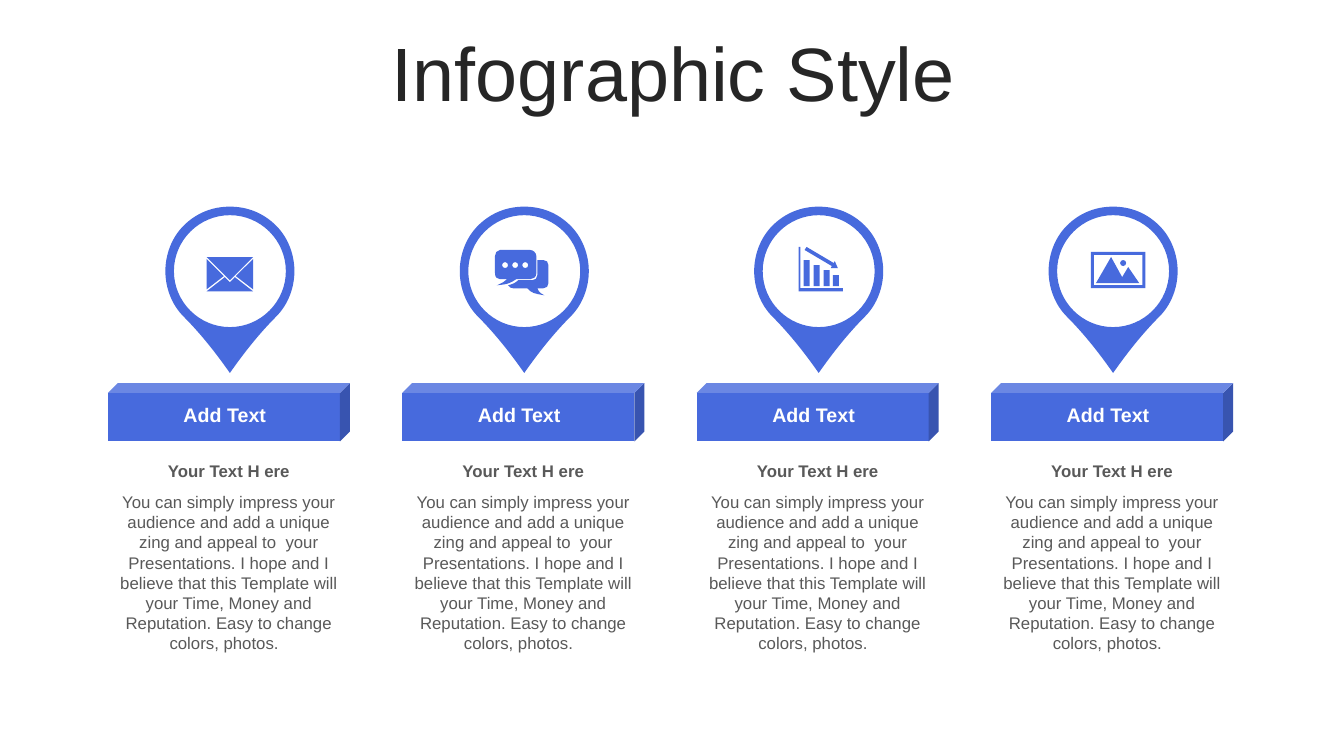
from dataclasses import dataclass

from lxml.etree import Element
from pptx import Presentation
from pptx.dml.color import RGBColor
from pptx.enum.shapes import MSO_SHAPE as Preset
from pptx.enum.text import MSO_ANCHOR as Anchor, PP_ALIGN as Align
from pptx.oxml.ns import qn
from pptx.util import Inches, Pt


@dataclass(frozen=True)
class Theme:
    font: str = "Arial"
    blue: str = "476ADD"
    white: str = "FFFFFF"
    heading: str = "262626"
    body: str = "595959"
    title_size: int = 54
    label_size: int = 14
    body_size: int = 12


THEME = Theme()
TITLE = "Infographic Style"
BODY = ("You can simply impress your audience and add a unique zing and appeal to  your "
        "Presentations. I hope and I believe that this Template will your Time, Money and "
        "Reputation. Easy to change colors, photos.  ")
COLUMNS = [(icon, "Add Text", "Your Text H ere", BODY)
           for icon in ("envelope", "chat", "chart", "photo")]

UNIT = Inches(0.01)
SLIDE = (1333, 750)
TITLE_AREA = (35, 37, 1266, 79)
FIRST_CENTER, COLUMN_PITCH = 228, 292
PIN_ROW = 269
BLOCK_AREA = (-121, 380, 240, 58)
LABEL_AREA = (-92, 395, 174, 34)
SUBHEAD_AREA = (-123, 452, 244, 30)
BODY_AREA = (-123, 483, 244, 172)


def rectangle(left, top, right, bottom):
    return [(left, top), (right, top), (right, bottom), (left, bottom)]


def disc(x, y, radius):
    k = radius * 0.55
    return [(x, y - radius),
            (x + k, y - radius, x + radius, y - k, x + radius, y),
            (x + radius, y + k, x + k, y + radius, x, y + radius),
            (x - k, y + radius, x - radius, y + k, x - radius, y),
            (x - radius, y - k, x - k, y - radius, x, y - radius)]


PIN = [
    disc(0, 0, 55.5),
    [(0, -64), (17, -64, 33, -58, 46, -45),
     (58, -33, 64, -16, 64, 0), (64, 16, 58, 33, 46, 45),
     (29, 62, 14, 81, 0, 101), (-14, 81, -29, 62, -46, 45),
     (-58, 33, -64, 16, -64, 0), (-64, -16, -58, -33, -46, -45),
     (-33, -58, -17, -64, 0, -64)],
]
ICONS = {
    "envelope": [
        [(5, 6), (23, 20), (-23, 20), (-5, 6), (0, 11)],
        [(23, -12), (23, 18), (6, 5)],
        [(-23, -12), (-6, 5), (-23, 18)],
        [(-23, -14), (23, -14), (0, 9)],
    ],
    "chat": [
        *[disc(x, -6, 3) for x in (-19, -9, 1)],
        [(13, -11), (19, -11), (22, -11, 24, -9, 24, -6), (24, 12),
         (24, 15, 22, 17, 19, 17), (13, 17), (14, 19, 14, 21, 20, 24),
         (9, 22, 8, 22, 3, 17), (-11, 17), (-13, 17, -15, 16, -16, 14),
         (-12, 13, -9, 12, -6, 9), (8, 9), (11, 9, 13, 7, 13, 4)],
        [(-24, -21), (6, -21), (9, -21, 12, -18, 12, -15), (12, 2),
         (12, 6, 9, 8, 6, 8), (-8, 8), (-14, 12, -16, 13, -27, 14),
         (-21, 11, -20, 11, -17, 8), (-24, 8), (-27, 8, -29, 6, -29, 2),
         (-29, -15), (-29, -18, -27, -21, -24, -21)],
    ],
    "chart": [
        *[rectangle(x, top, x + 6, 15)
          for x, top in ((-15, -11), (-5, -6), (5, -1), (14, 4))],
        [(-12, -24), (15, -8), (16, -10), (19, -3), (12, -3), (13, -5), (-14, -21)],
        [(-20, -24), (-18, -24), (-18, 17), (24, 17), (24, 20), (-20, 20)],
    ],
    "photo": [
        disc(10, -8, 3),
        [(-2, -14), (9, 6), (15, -4), (26, 12), (-17, 12)],
        rectangle(-19, -16, 29, 14),
        rectangle(-22, -19, 32, 17),
    ],
}


def units(*values):
    return [round(value * UNIT) for value in values]


def paint(shape):
    shape.shadow.inherit = False
    shape.fill.solid()
    shape.fill.fore_color.rgb = RGBColor.from_string(THEME.blue)
    shape.line.fill.background()


def bend(shape, contours, center):
    steps = [step for contour in contours for step in contour[1:]]
    lines = [line for line in shape.element.iter(qn("a:lnTo"))]
    for line, step in zip(lines, steps):
        if len(step) == 2:
            continue
        line.tag = qn("a:cubicBezTo")
        for index in (0, 1):
            x, y = units(center + step[2 * index], PIN_ROW + step[2 * index + 1])
            handle = Element(qn("a:pt"), x=str(x - shape.left), y=str(y - shape.top))
            line.insert(index, handle)


def draw_outline(page, contours, center):
    outlines = [[units(center + step[-2], PIN_ROW + step[-1]) for step in contour]
                for contour in contours]
    builder = page.shapes.build_freeform(*outlines[0][0], scale=1.0)
    for index, outline in enumerate(outlines):
        if index:
            builder.move_to(*outline[0])
        builder.add_line_segments(outline[1:], close=True)
    shape = builder.convert_to_shape()
    bend(shape, contours, center)
    paint(shape)


def write(shape, text, size, color, bold=False):
    frame = shape.text_frame
    frame.text = text
    frame.word_wrap = True
    para = frame.paragraphs[0]
    para.alignment = Align.CENTER
    font = para.runs[0].font
    font.name, font.size, font.bold = THEME.font, Pt(size), bold
    font.color.rgb = RGBColor.from_string(color)
    return para


def place(center, area):
    left, *rest = area
    return units(center + left, *rest)


def add_column(page, center, icon, label, subhead, body):
    block = page.shapes.add_shape(Preset.CUBE, *place(center, BLOCK_AREA))
    block.adjustments[0] = 0.17
    paint(block)
    draw_outline(page, PIN, center)
    draw_outline(page, ICONS[icon], center)
    for text, area, size, color, bold in (
            (label, LABEL_AREA, THEME.label_size, THEME.white, True),
            (subhead, SUBHEAD_AREA, THEME.body_size, THEME.body, True),
            (body, BODY_AREA, THEME.body_size, THEME.body, False)):
        box = page.shapes.add_textbox(*place(center, area))
        write(box, text, size, color, bold)


def main():
    deck = Presentation()
    deck.slide_width, deck.slide_height = units(*SLIDE)
    page = deck.slides.add_slide(deck.slide_layouts.get_by_name("Title Only"))
    title = page.shapes.title
    title.left, title.top, title.width, title.height = units(*TITLE_AREA)
    title.text_frame.vertical_anchor = Anchor.MIDDLE
    para = write(title, TITLE, THEME.title_size, THEME.heading)
    para.line_spacing = 0.9
    for index, column in enumerate(COLUMNS):
        add_column(page, FIRST_CENTER + index * COLUMN_PITCH, *column)
    deck.save("out.pptx")


if __name__ == "__main__":
    main()
